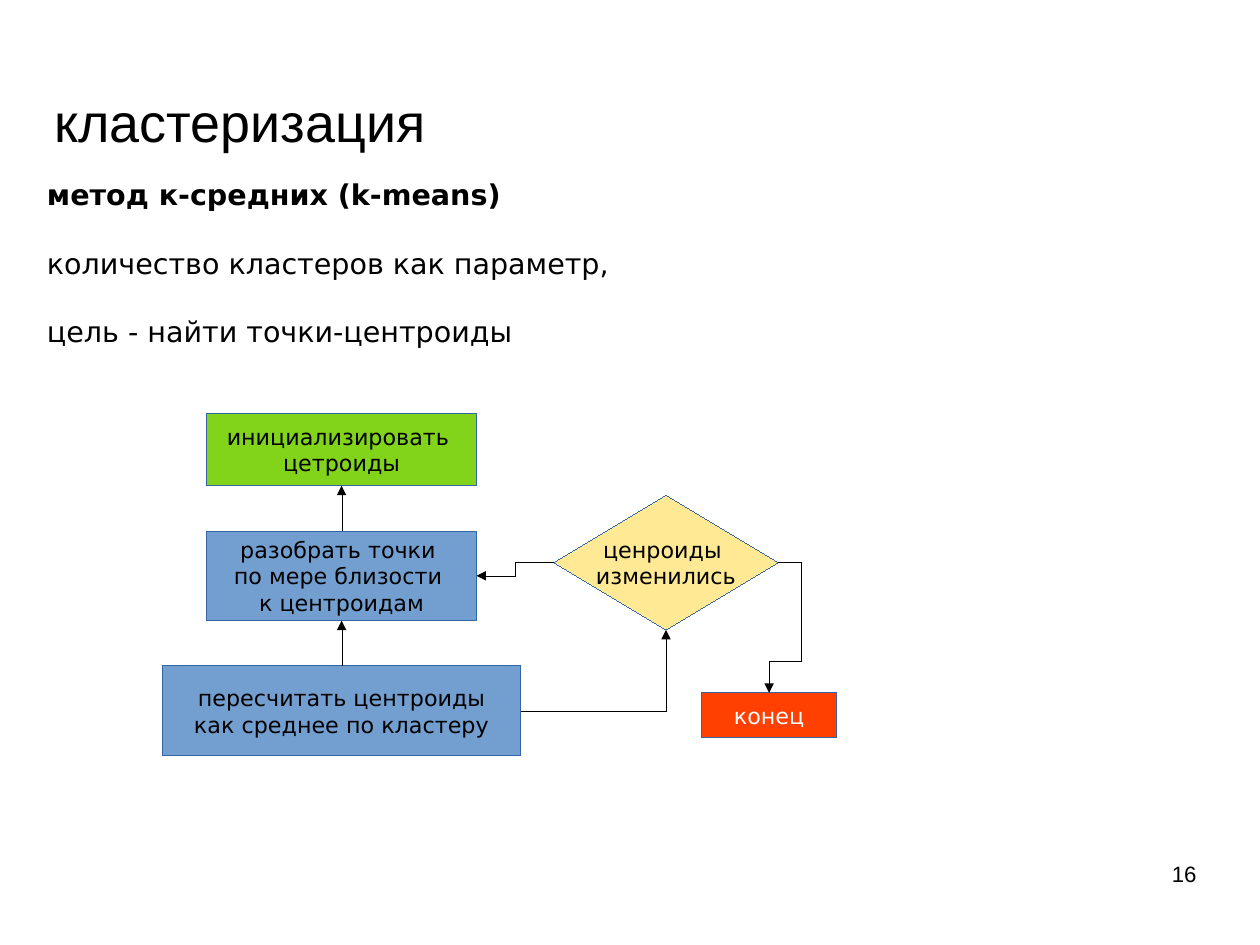
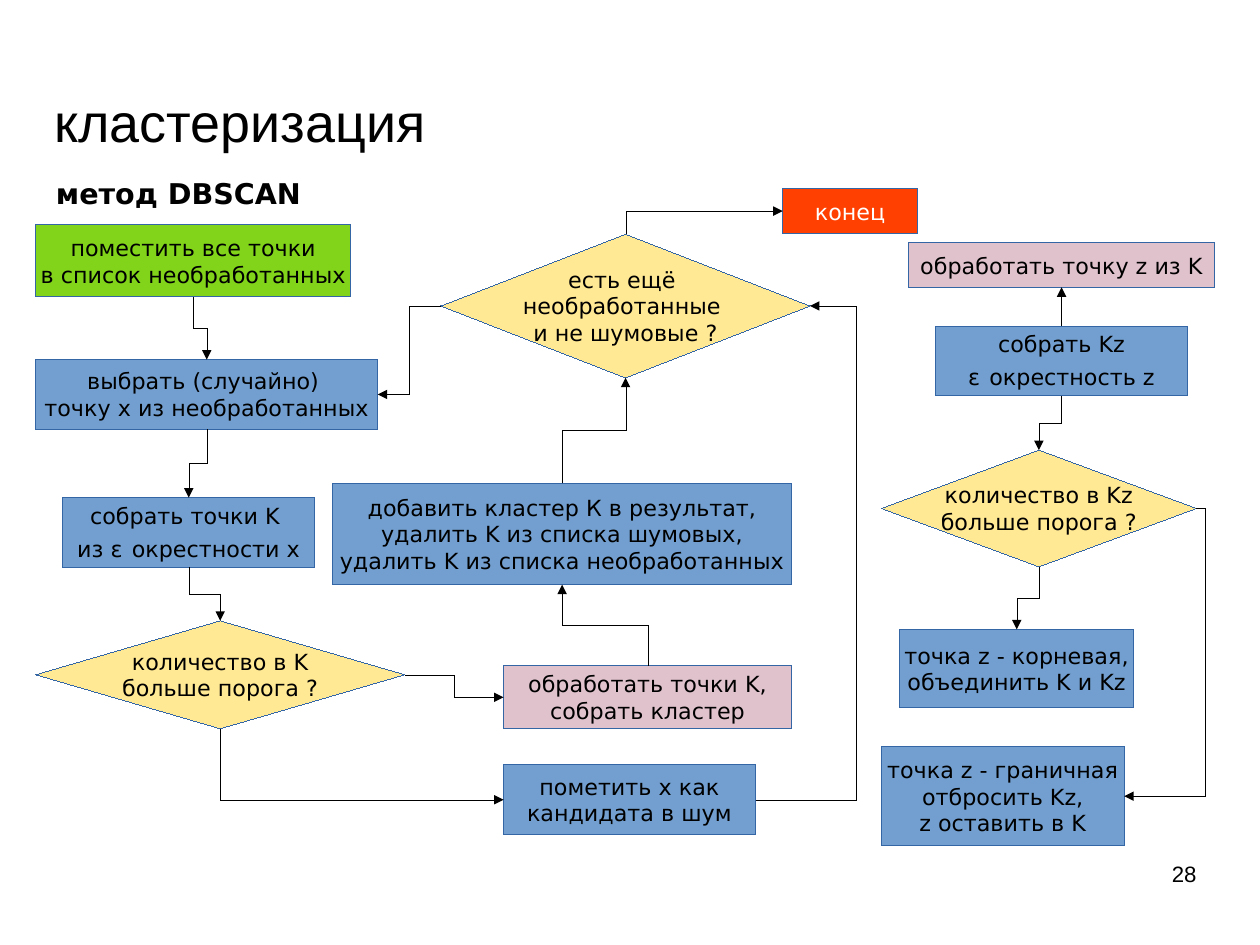
from dataclasses import dataclass
from enum import Enum, IntEnum

import pptx
import pptx.dml.color
import pptx.enum.shapes
import pptx.enum.text
import pptx.oxml
import pptx.oxml.ns
import pptx.util

Pt = pptx.util.Pt
Shape = pptx.enum.shapes.MSO_SHAPE
Align = pptx.enum.text.PP_ALIGN
Anchor = pptx.enum.text.MSO_ANCHOR
qn = pptx.oxml.ns.qn


@dataclass(frozen=True)
class Theme:
    title_font: str = "Arial"
    body_font: str = "DejaVu Sans"
    title_size: float = 33.9
    body_size: float = 18
    label_size: float = 14
    text: str = "000000"
    light_text: str = "FFFFFF"
    outline: str = "3465A4"
    link: str = "000000"
    start: str = "81D41A"
    step: str = "729FCF"
    choice: str = "FFE994"
    process: str = "E0C2CD"
    end: str = "FF4000"


THEME = Theme()


class Kind(Enum):
    START = (THEME.start, Shape.RECTANGLE, THEME.text)
    STEP = (THEME.step, Shape.RECTANGLE, THEME.text)
    CHOICE = (THEME.choice, Shape.DIAMOND, THEME.text)
    PROCESS = (THEME.process, Shape.RECTANGLE, THEME.text)
    END = (THEME.end, Shape.RECTANGLE, THEME.light_text)


class Side(IntEnum):
    TOP = 0
    LEFT = 1
    BOTTOM = 2
    RIGHT = 3

    @property
    def vertical(self) -> bool:
        return self in (Side.TOP, Side.BOTTOM)


@dataclass(frozen=True)
class Box:
    left: float
    top: float
    width: float
    height: float

    def lengths(self) -> list:
        return [Pt(value) for value in (self.left, self.top, self.width, self.height)]


@dataclass(frozen=True)
class Span:
    text: str
    size: float = THEME.label_size


@dataclass(frozen=True)
class Node:
    name: str
    kind: Kind
    box: Box
    lines: tuple


@dataclass(frozen=True)
class Link:
    source: str
    source_side: Side
    target: str
    target_side: Side
    bends: tuple = ()


@dataclass(frozen=True)
class Chart:
    number: str
    heading_box: Box
    heading: tuple
    nodes: tuple
    links: tuple


TITLE = "кластеризация"
TITLE_BOX = Box(34.2, 56.7, 544, 39)
NUMBER_BOX = Box(568.8, 542, 185, 41)
WIDE_SPACE = Span(" ", THEME.body_size)

K_MEANS = Chart(
    "16",
    Box(22.5, 108, 374, 112),
    (
        "метод к-средних (k-means)",
        "количество кластеров как параметр,",
        "цель - найти точки-центроиды",
    ),
    (
        Node("init", Kind.START, Box(130.2, 260.5, 170, 45.5),
             ("инициализировать ", "цетроиды")),
        Node("assign", Kind.STEP, Box(130.2, 334.5, 170, 56.5),
             ("разобрать точки ", "по мере близости ", "к центроидам")),
        Node("recount", Kind.STEP, Box(102.2, 419.5, 226, 56.5),
             ("пересчитать центроиды", "как среднее по кластеру")),
        Node("changed", Kind.CHOICE, Box(348.8, 311.8, 141.5, 85),
             ("ценроиды ", "изменились")),
        Node("end", Kind.END, Box(442, 436.5, 85, 28), ("конец",)),
    ),
    (
        Link("recount", Side.TOP, "assign", Side.BOTTOM),
        Link("assign", Side.TOP, "init", Side.BOTTOM),
        Link("changed", Side.LEFT, "assign", Side.RIGHT),
        Link("recount", Side.RIGHT, "changed", Side.BOTTOM),
        Link("changed", Side.RIGHT, "end", Side.TOP, (-14.5, 62)),
    ),
)

DBSCAN = Chart(
    "28",
    Box(28.2, 107.5, 233, 40),
    ("метод DBSCAN",),
    (
        Node("pick", Kind.STEP, Box(22.5, 226.5, 215.5, 44),
             ("выбрать (случайно) ", "точку х из необработанных")),
        Node("end", Kind.END, Box(493, 119, 85, 28), ("конец",)),
        Node("fill", Kind.START, Box(22.5, 141.5, 198.5, 45.5),
             ("поместить все точки", "в список необработанных")),
        Node("grow", Kind.PROCESS, Box(317.2, 419.5, 181.5, 39.5),
             ("обработать точки K,", "собрать кластер")),
        Node("dense", Kind.CHOICE, Box(22.5, 391, 232.5, 68),
             ("количество в K", "больше порога ?")),
        Node("noise", Kind.STEP, Box(317.2, 481.8, 158.8, 44),
             ("пометить х как", "кандидата в шум")),
        Node("gather", Kind.STEP, Box(39.5, 313.5, 158.8, 43.8),
             ("собрать точки K ",
              (Span("из ε"), WIDE_SPACE, Span("окрестности х")))),
        Node("add", Kind.STEP, Box(209.5, 304.5, 289.2, 63.8),
             ("добавить кластер К в результат,",
              "удалить K из списка шумовых,",
              "удалить K из списка необработанных")),
        Node("left", Kind.CHOICE, Box(277.8, 147.5, 232.5, 90.5),
             ("есть ещё ", "необработанные ", "и не шумовые ?")),
        Node("visit", Kind.PROCESS, Box(572.2, 153, 193, 28),
             ("обработать точку z из K",)),
        Node("gather_z", Kind.STEP, Box(589.2, 205.5, 159, 43.8),
             ("собрать Kz",
              (Span("ε"), WIDE_SPACE, Span("окрестность z")))),
        Node("dense_z", Kind.CHOICE, Box(555.2, 283.5, 198.5, 73.5),
             ("количество в Kz", "больше порога ?")),
        Node("core_z", Kind.STEP, Box(566.7, 396.5, 147.5, 49.5),
             ("точка z - корневая,", "объединить K и Kz")),
        Node("border_z", Kind.STEP, Box(555.2, 470.3, 153, 62.5),
             ("точка z - граничная", "отбросить Kz,", "z оставить в K")),
    ),
    (
        Link("fill", Side.BOTTOM, "pick", Side.TOP),
        Link("pick", Side.BOTTOM, "gather", Side.TOP),
        Link("gather", Side.BOTTOM, "dense", Side.TOP),
        Link("dense", Side.BOTTOM, "noise", Side.LEFT),
        Link("dense", Side.RIGHT, "grow", Side.LEFT),
        Link("grow", Side.TOP, "add", Side.BOTTOM),
        Link("add", Side.TOP, "left", Side.BOTTOM),
        Link("left", Side.LEFT, "pick", Side.RIGHT),
        Link("noise", Side.RIGHT, "left", Side.RIGHT, (63,)),
        Link("left", Side.TOP, "end", Side.LEFT),
        Link("gather_z", Side.TOP, "visit", Side.BOTTOM),
        Link("gather_z", Side.BOTTOM, "dense_z", Side.TOP),
        Link("dense_z", Side.BOTTOM, "core_z", Side.TOP),
        Link("dense_z", Side.RIGHT, "border_z", Side.RIGHT, (-5.5,)),
    ),
)


def rgb(value: str):
    return pptx.dml.color.RGBColor.from_string(value)


def style(font, name: str, size: float, color: str, bold: bool = False) -> None:
    font.name = name
    font.size = Pt(size)
    font.color.rgb = rgb(color)
    font.bold = bold


def hairline(shape, color: str):
    shape.line.color.rgb = rgb(color)
    outline = shape.line._get_or_add_ln()
    outline.set("w", "0")
    return outline


def add_text(page, box: Box, lines: tuple, name: str, size: float, align=Align.LEFT,
             anchor=Anchor.TOP, bold_first: bool = False, inset: tuple = (0, 0)) -> None:
    frame = page.shapes.add_textbox(*box.lengths()).text_frame
    frame.word_wrap = True
    frame.vertical_anchor = anchor
    frame.margin_left = frame.margin_right = Pt(inset[0])
    frame.margin_top = frame.margin_bottom = Pt(inset[1])
    for index, line in enumerate(lines):
        para = frame.add_paragraph() if index else frame.paragraphs[0]
        para.text = line
        para.alignment = align
        if index:
            para.space_before = Pt(21.5)
        style(para.font, name, size, THEME.text, bold_first and index == 0)


def add_node(page, node: Node):
    fill, preset, color = node.kind.value
    shape = page.shapes.add_shape(preset, *node.box.lengths())
    shape.shadow.inherit = False
    shape.fill.solid()
    shape.fill.fore_color.rgb = rgb(fill)
    hairline(shape, THEME.outline)
    frame = shape.text_frame
    frame.word_wrap = False
    frame.vertical_anchor = Anchor.MIDDLE
    for index, line in enumerate(node.lines):
        para = frame.add_paragraph() if index else frame.paragraphs[0]
        para.alignment = Align.CENTER
        style(para.font, THEME.body_font, THEME.label_size, color)
        if isinstance(line, str):
            para.text = line
            continue
        for span in line:
            run = para.add_run()
            run.text = span.text
            run.font.size = Pt(span.size)
    return shape


def bend(connector, link: Link) -> None:
    delta_x = connector.end_x - connector.begin_x
    delta_y = connector.end_y - connector.begin_y
    properties = connector._element.spPr
    geometry = properties.find(qn("a:prstGeom"))
    if abs(delta_x) < Pt(0.1):
        geometry.set("prst", "straightConnector1")
        return
    same_axis = link.source_side.vertical == link.target_side.vertical
    segments = 3 if same_axis else 4 if link.bends else 2
    geometry.set("prst", f"bentConnector{segments}")
    center_x = (connector.begin_x + connector.end_x) // 2
    center_y = (connector.begin_y + connector.end_y) // 2
    size = (abs(delta_x), abs(delta_y))
    turn, flip_x, flip_y = 0, delta_x < 0, delta_y < 0
    if link.source_side.vertical:
        size = size[::-1]
        turn = 90 if (delta_x < 0) == (delta_y > 0) else 270
        flip_x = delta_x > 0
    connector.width, connector.height = size
    connector.left, connector.top = center_x - size[0] // 2, center_y - size[1] // 2
    transform = properties.find(qn("a:xfrm"))
    transform.set("rot", str(turn * 60000))
    transform.set("flipH", str(int(flip_x)))
    transform.set("flipV", str(int(flip_y)))
    guides = geometry.get_or_add_avLst()
    for index, (distance, length) in enumerate(zip(link.bends, size), 1):
        guide = pptx.oxml.parse_xml(f'<a:gd {pptx.oxml.ns.nsdecls("a")}/>')
        guide.set("name", f"adj{index}")
        guide.set("fmla", f"val {round(Pt(distance) / length * 100000)}")
        guides.append(guide)


def add_link(page, link: Link, shapes: dict) -> None:
    elbow = pptx.enum.shapes.MSO_CONNECTOR.ELBOW
    connector = page.shapes.add_connector(elbow, Pt(0), Pt(0), Pt(0), Pt(0))
    connector.begin_connect(shapes[link.source], link.source_side.value)
    connector.end_connect(shapes[link.target], link.target_side.value)
    bend(connector, link)
    namespace = pptx.oxml.ns.nsdecls("a")
    head = pptx.oxml.parse_xml(f'<a:tailEnd {namespace} type="triangle"/>')
    hairline(connector, THEME.link).append(head)
    connector._element.spPr.append(pptx.oxml.parse_xml(f"<a:effectLst {namespace}/>"))


def add_page(deck, chart: Chart) -> None:
    page = deck.slides.add_slide(deck.slide_layouts[6])
    add_text(page, TITLE_BOX, (TITLE,), THEME.title_font, THEME.title_size,
             anchor=Anchor.MIDDLE)
    add_text(page, chart.heading_box, chart.heading, THEME.body_font, THEME.body_size,
             bold_first=True, inset=(7.2, 3.6))
    shapes = {node.name: add_node(page, node) for node in chart.nodes}
    for link in chart.links:
        add_link(page, link, shapes)
    add_text(page, NUMBER_BOX, (chart.number,), THEME.title_font, THEME.label_size,
             align=Align.RIGHT)


def main() -> None:
    deck = pptx.Presentation()
    deck.slide_width, deck.slide_height = Pt(793.7), Pt(595.28)
    for chart in (K_MEANS, DBSCAN):
        add_page(deck, chart)
    deck.save("out.pptx")


if __name__ == "__main__":
    main()
